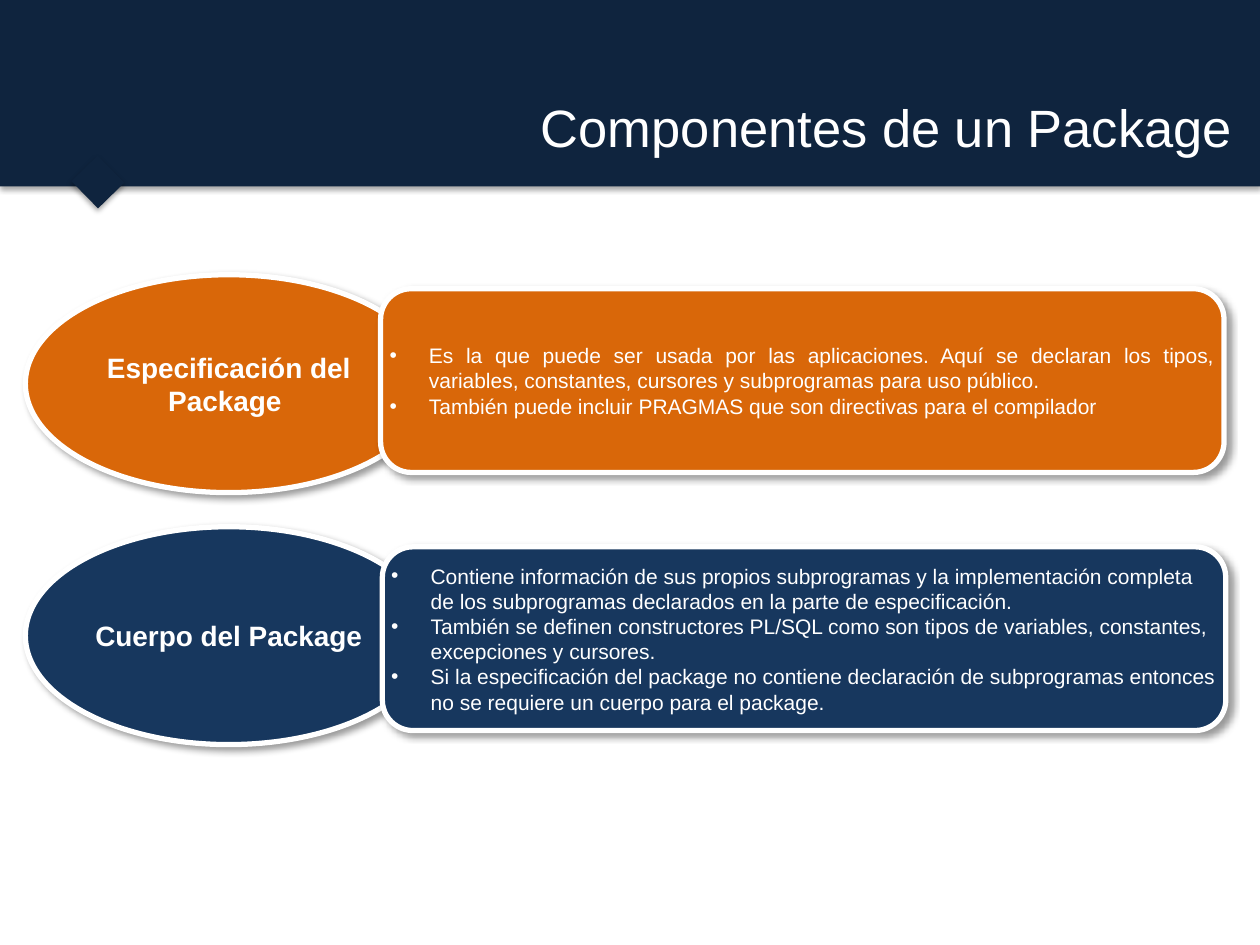
from lxml import etree
from pptx import Presentation
from pptx.dml.color import RGBColor
from pptx.enum import shapes, text
from pptx.oxml import ns
from pptx.util import Pt

COLORS = {"header": "0F243E", "orange": "D96709", "blue": "17375E",
          "white": "FFFFFF", "shadow": "000000"}
FONT = "Arial"
CARD_SHADOW = (40, 4, 3, 45)
HEADER_SHADOW = (35, 3.1, 1.8, 90)

COMPONENTS = [
    {"name": "Especificación del Package ", "color": "orange",
     "top": 157, "panel_left": 203, "panel_top": 8,
     "align": text.PP_ALIGN.JUSTIFY,
     "points": [
         "Es la que puede ser usada por las aplicaciones. Aquí se declaran los tipos, "
         "variables, constantes, cursores y subprogramas para uso público.",
         "También puede incluir PRAGMAS que son directivas para el compilador"]},
    {"name": "Cuerpo del Package", "color": "blue",
     "top": 301, "panel_left": 204, "panel_top": 11.5,
     "align": text.PP_ALIGN.LEFT,
     "points": [
         "Contiene información de sus propios subprogramas y la implementación completa "
         "de los subprogramas declarados en la parte de especificación.",
         "También se definen constructores PL/SQL como son tipos de variables, "
         "constantes, excepciones y cursores.",
         "Si la especificación del package no contiene declaración de subprogramas "
         "entonces no se requiere un cuerpo para el package."]},
]


def rgb(name):
    return RGBColor.from_string(COLORS[name])


def add_shadow(sp, alpha, blur, distance, angle):
    sp.shadow.inherit = False
    effects = sp.element.spPr.find(ns.qn("a:effectLst"))
    outer = etree.SubElement(
        effects, ns.qn("a:outerShdw"), blurRad=str(Pt(blur)), dist=str(Pt(distance)),
        dir=str(angle * 60000), algn="ctr", rotWithShape="0")
    color = etree.SubElement(outer, ns.qn("a:srgbClr"), val=COLORS["shadow"])
    etree.SubElement(color, ns.qn("a:alpha"), val=str(alpha * 1000))


def add_box(parent, kind, left, top, width, height, color, shadow):
    sp = parent.add_shape(kind, Pt(left), Pt(top), Pt(width), Pt(height))
    sp.fill.solid()
    sp.fill.fore_color.rgb = rgb(color)
    sp.line.fill.background()
    add_shadow(sp, *shadow)
    return sp


def add_card(slide, kind, left, top, width, height, color):
    sp = add_box(slide.shapes, kind, left, top, width, height, color, CARD_SHADOW)
    sp.line.color.rgb = rgb("white")
    sp.line.width = Pt(3)
    tf = sp.text_frame
    tf.word_wrap = True
    tf.vertical_anchor = text.MSO_ANCHOR.MIDDLE
    tf.margin_left = tf.margin_right = tf.margin_top = tf.margin_bottom = 0
    return tf


def add_run(p, words, size, bold=False):
    r = p.add_run()
    r.text = words
    r.font.name = FONT
    r.font.size = Pt(size)
    r.font.bold = bold
    r.font.color.rgb = rgb("white")


def add_bullet(p, indent):
    pPr = p._p.get_or_add_pPr()
    pPr.set("marL", str(Pt(indent)))
    pPr.set("indent", str(-Pt(indent)))
    etree.SubElement(pPr, ns.qn("a:buFont"), typeface=FONT)
    etree.SubElement(pPr, ns.qn("a:buChar"), char="•")


def add_header(slide, left, top, width, height):
    group = slide.shapes.add_group_shape()
    rect = shapes.MSO_SHAPE.RECTANGLE
    add_box(group.shapes, rect, left, top, width, height, "header", HEADER_SHADOW)
    pointer = add_box(group.shapes, rect, left + 45, top + height - 13, 21.8, 21,
                      "header", HEADER_SHADOW)
    pointer.rotation = 45.6

    title = slide.shapes.title
    slide.shapes.element.append(title.element)
    title.left, title.top = Pt(left + 36.5), Pt(top + 15)
    title.width, title.height = Pt(width - 45), Pt(115)
    tf = title.text_frame
    tf.word_wrap = True
    tf.vertical_anchor = text.MSO_ANCHOR.MIDDLE
    p = tf.paragraphs[0]
    p.alignment = text.PP_ALIGN.RIGHT
    add_run(p, "Componentes de un Package", 30)


def add_component(slide, left, top, component):
    color = component["color"]
    tf = add_card(slide, shapes.MSO_SHAPE.OVAL, left, top, 232.5, 124.5, color)
    p = tf.paragraphs[0]
    p.alignment = text.PP_ALIGN.CENTER
    add_run(p, component["name"], 16, bold=True)

    tf = add_card(slide, shapes.MSO_SHAPE.ROUNDED_RECTANGLE,
                  left + component["panel_left"], top + component["panel_top"],
                  482, 105, color)
    for i, point in enumerate(component["points"]):
        p = tf.add_paragraph() if i else tf.paragraphs[0]
        add_bullet(p, 22.5)
        p.alignment = component["align"]
        add_run(p, point, 12)


def main():
    prs = Presentation()
    prs.slide_width, prs.slide_height = Pt(720), Pt(540)
    slide = prs.slides.add_slide(prs.slide_layouts[5])
    add_header(slide, 0, 0, 720, 106.5)
    for component in COMPONENTS:
        add_component(slide, 14.5, component["top"], component)
    prs.save("out.pptx")


if __name__ == "__main__":
    main()
